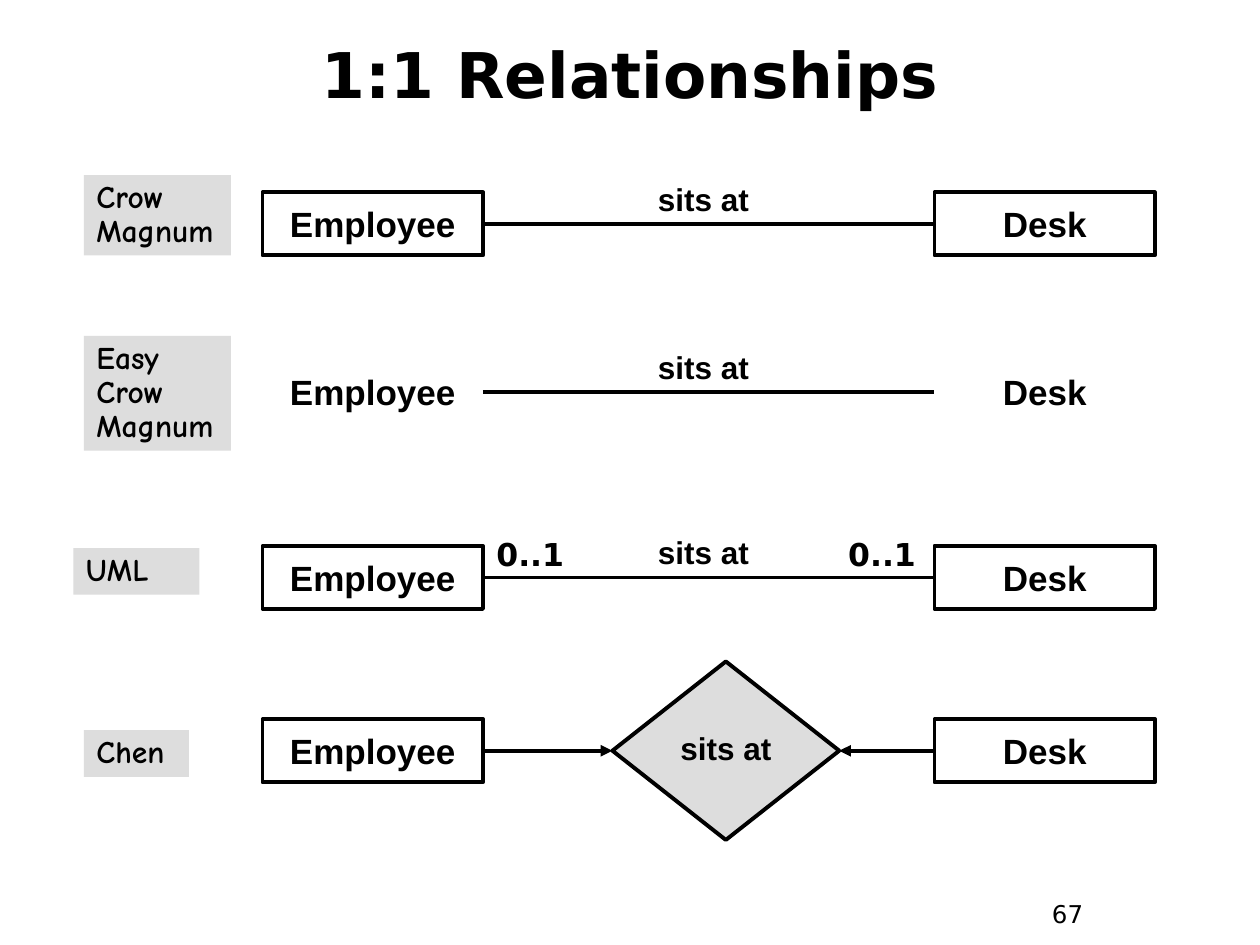
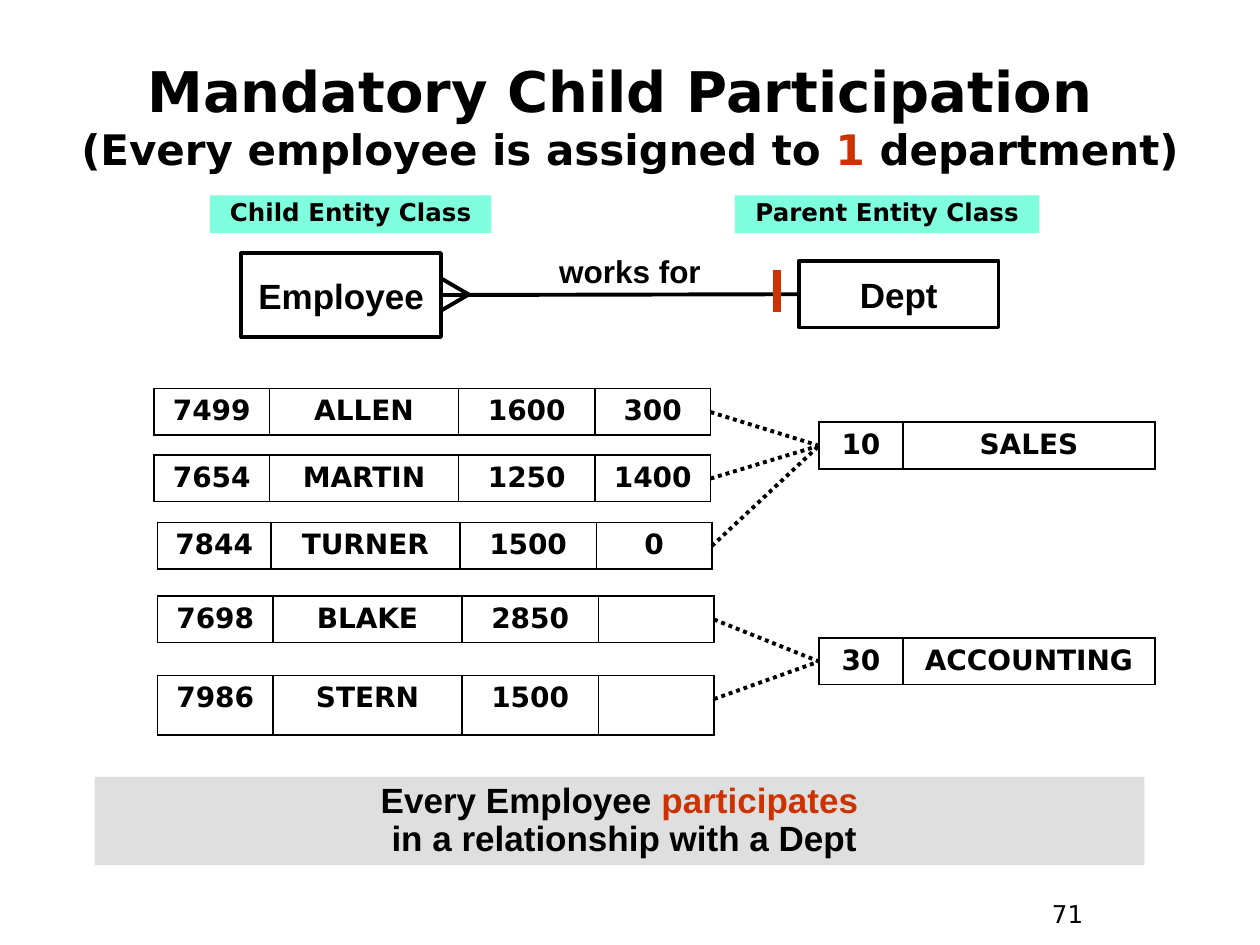
from dataclasses import dataclass
from typing import NamedTuple, Optional

from lxml.etree import SubElement
from pptx import Presentation
from pptx.dml.color import RGBColor
from pptx.enum.dml import MSO_LINE
from pptx.enum.shapes import MSO_CONNECTOR, MSO_SHAPE as Preset
from pptx.enum.text import MSO_ANCHOR as Anchor, MSO_AUTO_SIZE, PP_ALIGN as Align
from pptx.oxml import parse_xml
from pptx.oxml.ns import nsdecls, qn
from pptx.util import Emu, Inches, Pt

BLACK = RGBColor(0, 0, 0)
RED = RGBColor(0xCC, 0x33, 0x00)
GRAY = RGBColor(0xDD, 0xDD, 0xDD)
BANNER_GRAY = RGBColor(0xDF, 0xDF, 0xDF)
MINT = RGBColor(0x7F, 0xFF, 0xDD)

# The slide is a grid of 120 columns by 90 rows of equal square units
WIDTH, HEIGHT = Inches(10), Inches(7.5)
UNIT = WIDTH / 120
LINE_WIDTH = 2.25
BORDER_WIDTH = 1.08
TOP, LEFT, BOTTOM, RIGHT = range(4)


class Area(NamedTuple):
    col: float
    row: float
    cols: float
    rows: float


class Part(NamedTuple):
    """A stretch of text; a \\v at its end breaks the line."""
    text: str
    size: Optional[float] = None
    color: RGBColor = BLACK


@dataclass(frozen=True)
class Style:
    font: str
    size: float
    bold: bool = True
    align: Align = Align.CENTER
    anchor: Anchor = Anchor.TOP
    spacing: float = 1.0
    wrap: bool = True


TITLE = Style("DejaVu Sans", 36, anchor=Anchor.MIDDLE)
PAGE_NUMBER = Style("DejaVu Sans", 14, bold=False, align=Align.LEFT)
ENTITY = Style("Arial", 20, anchor=Anchor.MIDDLE, wrap=False)
VERB = Style("Arial", 18, spacing=0.85)
VERB_LOOSE = Style("Arial", 18)
DIAMOND_VERB = Style("Arial", 18, anchor=Anchor.MIDDLE, spacing=0.9, wrap=False)
MULTIPLICITY = Style("DejaVu Sans", 18)
NOTATION_NAME = Style("Comic Neue", 18, align=Align.LEFT, spacing=0.9)
CLASS_TAG = Style("DejaVu Sans", 14, spacing=0.85)
BANNER = Style("Arial", 20, spacing=0.9)
RECORD = Style("DejaVu Sans", 16)


@dataclass(frozen=True)
class Notation:
    name: str
    name_area: Area
    center: float
    boxed: bool = True
    multiplicity: str = ""
    diamond: bool = False


@dataclass(frozen=True)
class Record:
    """One database row, drawn as a one-row table."""
    values: tuple
    col: float
    row: float
    widths: tuple
    height: float = 4.44

    @property
    def right(self) -> float:
        return self.col + sum(self.widths)

    @property
    def middle(self) -> float:
        return self.row + 2.25


NOTATIONS = [
    Notation("Crow\vMagnum", Area(8, 16.67, 14, 7.67), 21.33),
    Notation("Easy\vCrow\vMagnum", Area(8, 32, 14, 10.92), 37.33, boxed=False),
    Notation("UML", Area(7, 52.2, 12, 4.44), 55, multiplicity="0..1"),
    Notation("Chen", Area(8, 69.55, 10, 4.44), 71.5, diamond=True),
]

EMPLOYEE_WIDTHS = (11, 18, 13, 11)
TURNER_WIDTHS = (10.8, 18, 13, 11)
DEPT_WIDTHS = (8, 24)
STAFF = [
    (Record(("10", "SALES"), 78, 40.2, DEPT_WIDTHS), [
        Record(("7499", "ALLEN", "1600", "300"), 14.67, 37, EMPLOYEE_WIDTHS),
        Record(("7654", "MARTIN", "1250", "1400"), 14.67, 43.33, EMPLOYEE_WIDTHS),
        Record(("7844", "TURNER", "1500", "0"), 15, 49.75, TURNER_WIDTHS),
    ]),
    (Record(("30", "ACCOUNTING"), 78, 60.75, DEPT_WIDTHS), [
        Record(("7698", "BLAKE", "2850", ""), 15, 56.75, EMPLOYEE_WIDTHS),
        Record(("7986", "STERN", "1500", ""), 15, 64.33, EMPLOYEE_WIDTHS, 5.64),
    ]),
]


def units(count: float) -> Emu:
    return Emu(round(count * UNIT))


def place(area: Area) -> tuple:
    return tuple(units(length) for length in area)


def format_run(run, style: Style, part: Part) -> None:
    run.font.name = style.font
    run.font.size = Pt(part.size or style.size)
    run.font.bold = style.bold
    run.font.color.rgb = part.color


def write(frame, content, style: Style) -> None:
    """Fill a text frame with a string or a list of parts."""
    frame.word_wrap = style.wrap
    frame.vertical_anchor = style.anchor
    paragraph = frame.paragraphs[0]
    paragraph.alignment = style.align
    paragraph.line_spacing = style.spacing
    if isinstance(content, str):
        paragraph.text = content
        for run in paragraph.runs:
            format_run(run, style, Part(content))
        return
    for part in content:
        run = paragraph.add_run()
        run.text = part.text.rstrip("\v")
        format_run(run, style, part)
        if part.text.endswith("\v"):
            paragraph.add_line_break()


def add_label(slide, area: Area, content, style: Style):
    label = slide.shapes.add_textbox(*place(area))
    write(label.text_frame, content, style)
    return label


def add_box(slide, area: Area, content, style: Style, fill: Optional[RGBColor] = None,
            outlined: bool = False, preset: Preset = Preset.RECTANGLE):
    box = slide.shapes.add_shape(preset, *place(area))
    box.shadow.inherit = False
    if fill is None:
        box.fill.background()
    else:
        box.fill.solid()
        box.fill.fore_color.rgb = fill
    if outlined:
        box.line.color.rgb = BLACK
        box.line.width = Pt(LINE_WIDTH)
    else:
        box.line.fill.background()
    write(box.text_frame, content, style)
    return box


def add_line(slide, start=(0, 0), end=(0, 0), color: RGBColor = BLACK,
             width: float = LINE_WIDTH, dotted: bool = False, arrow: bool = False):
    line = slide.shapes.add_connector(
        MSO_CONNECTOR.STRAIGHT, *map(units, (*start, *end)))
    line.line.color.rgb = color
    line.line.width = Pt(width)
    if dotted:
        line.line.dash_style = MSO_LINE.ROUND_DOT
    if arrow:
        SubElement(line.line._get_or_add_ln(), qn("a:tailEnd"), type="triangle")
    SubElement(line._element.spPr, qn("a:effectLst"))
    return line


def join(slide, source, source_side: int, target, target_side: int,
         arrow: bool = False) -> None:
    line = add_line(slide, arrow=arrow)
    line.begin_connect(source, source_side)
    line.end_connect(target, target_side)


def add_record(slide, record: Record) -> None:
    area = Area(record.col, record.row, sum(record.widths), record.height)
    table = slide.shapes.add_table(1, len(record.values), *place(area)).table
    table.first_row = table.horz_banding = False
    table.rows[0].height = units(record.height)
    for column, width in zip(table.columns, record.widths):
        column.width = units(width)
    for cell, value in zip(table.rows[0].cells, record.values):
        cell.fill.background()
        if value:
            write(cell.text_frame, value, RECORD)
        else:
            # Keeps an empty cell from stretching its row
            SubElement(cell.text_frame.paragraphs[0]._p, qn("a:endParaRPr"),
                       sz=str(RECORD.size * 100))
        for index, side in enumerate("LRTB"):
            cell._tc.get_or_add_tcPr().insert(index, parse_xml(
                f'<a:ln{side} {nsdecls("a")} w="{Pt(BORDER_WIDTH)}"><a:solidFill>'
                f'<a:srgbClr val="{BLACK}"/></a:solidFill></a:ln{side}>'))


def start_slide(deck, title, title_row: float, number: int):
    slide = deck.slides.add_slide(deck.slide_layouts[5])
    heading = slide.shapes.title
    heading.left, heading.top, heading.width, heading.height = place(
        Area(4, title_row, 112, 10))
    write(heading.text_frame, title, TITLE)
    heading.text_frame.auto_size = MSO_AUTO_SIZE.NONE
    add_label(slide, Area(99, 85, 9, 4.44), str(number), PAGE_NUMBER)
    return slide


def draw_notation(slide, notation: Notation) -> None:
    center = notation.center
    add_box(slide, notation.name_area, notation.name, NOTATION_NAME, GRAY)
    employee, desk = (
        add_box(slide, Area(col, center - 3, 21, 6), name, ENTITY, outlined=notation.boxed)
        for col, name in ((25, "Employee"), (89, "Desk")))
    if notation.diamond:
        verb = add_box(slide, Area(58.33, center - 8.5, 21.6, 17), "sits at", DIAMOND_VERB,
                       GRAY, outlined=True, preset=Preset.FLOWCHART_DECISION)
        join(slide, employee, RIGHT, verb, LEFT, arrow=True)
        join(slide, desk, LEFT, verb, RIGHT, arrow=True)
        return
    join(slide, employee, RIGHT, desk, LEFT)
    add_label(slide, Area(57, center - 4.25, 20, 4.33), "sits at", VERB)
    if notation.multiplicity:
        for col in (45.5, 79):
            add_label(slide, Area(col, center - 4.6, 10, 4.8),
                      notation.multiplicity, MULTIPLICITY)


def build_one_to_one(deck) -> None:
    slide = start_slide(deck, "1:1 Relationships", 2, 67)
    for notation in NOTATIONS:
        draw_notation(slide, notation)


def build_mandatory_child(deck) -> None:
    slide = start_slide(deck, [
        Part("Mandatory Child Participation \v", 32),
        Part("(Every employee is assigned to ", 24),
        Part("1", 24, RED),
        Part(" department)", 24),
    ], 6, 71)

    # Entity classes and their relationship
    add_box(slide, Area(20, 18.6, 26.8, 3.6), "Child Entity Class", CLASS_TAG, MINT)
    add_box(slide, Area(70, 18.6, 29, 3.6), "Parent Entity Class", CLASS_TAG, MINT)
    employee = add_box(slide, Area(23, 24.1, 19, 8), "Employee", ENTITY, outlined=True)
    dept = add_box(slide, Area(76.1, 24.85, 19, 6.35), "Dept", ENTITY, outlined=True)
    join(slide, dept, LEFT, employee, RIGHT)
    add_label(slide, Area(50, 23.4, 20, 4.8), "works for", VERB_LOOSE)

    # Crow's foot at the child, mandatory bar at the parent
    for toe_row in (26.45, 29.65):
        add_line(slide, (44.65, 28.05), (41.9, toe_row))
    add_line(slide, (74, 25.75), (74, 29.75), RED, 4.5)

    # Employee records linked to their departments
    for department, members in STAFF:
        add_record(slide, department)
        for member in members:
            add_record(slide, member)
            add_line(slide, (member.right, member.middle),
                     (department.col, department.middle), dotted=True)

    add_box(slide, Area(9, 74, 100, 8.4), [
        Part("Every Employee "),
        Part("participates\v", color=RED),
        Part(" in a relationship with a Dept"),
    ], BANNER, BANNER_GRAY)


def main() -> None:
    deck = Presentation()
    deck.slide_width, deck.slide_height = WIDTH, HEIGHT
    build_one_to_one(deck)
    build_mandatory_child(deck)
    deck.save("out.pptx")


if __name__ == "__main__":
    main()
